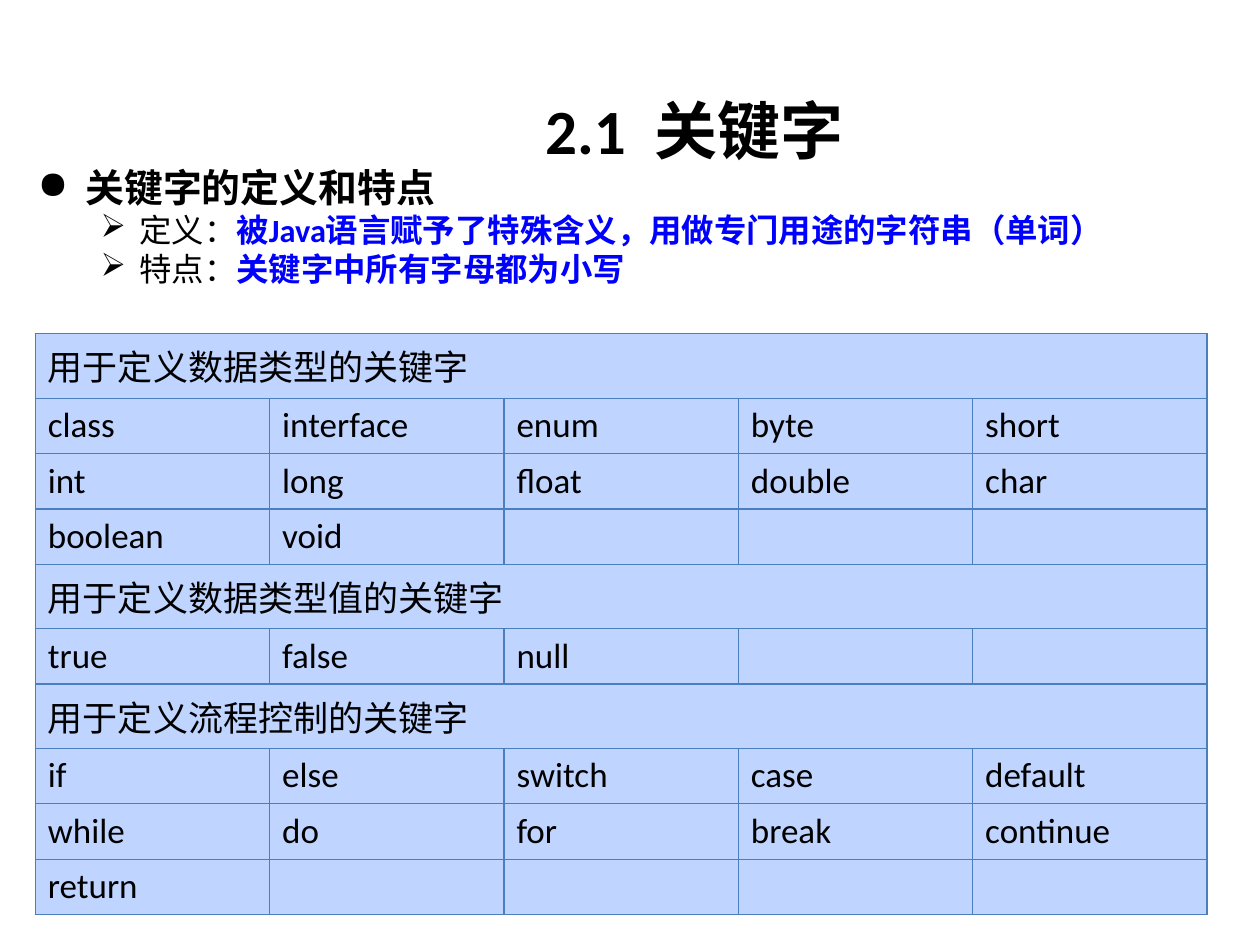
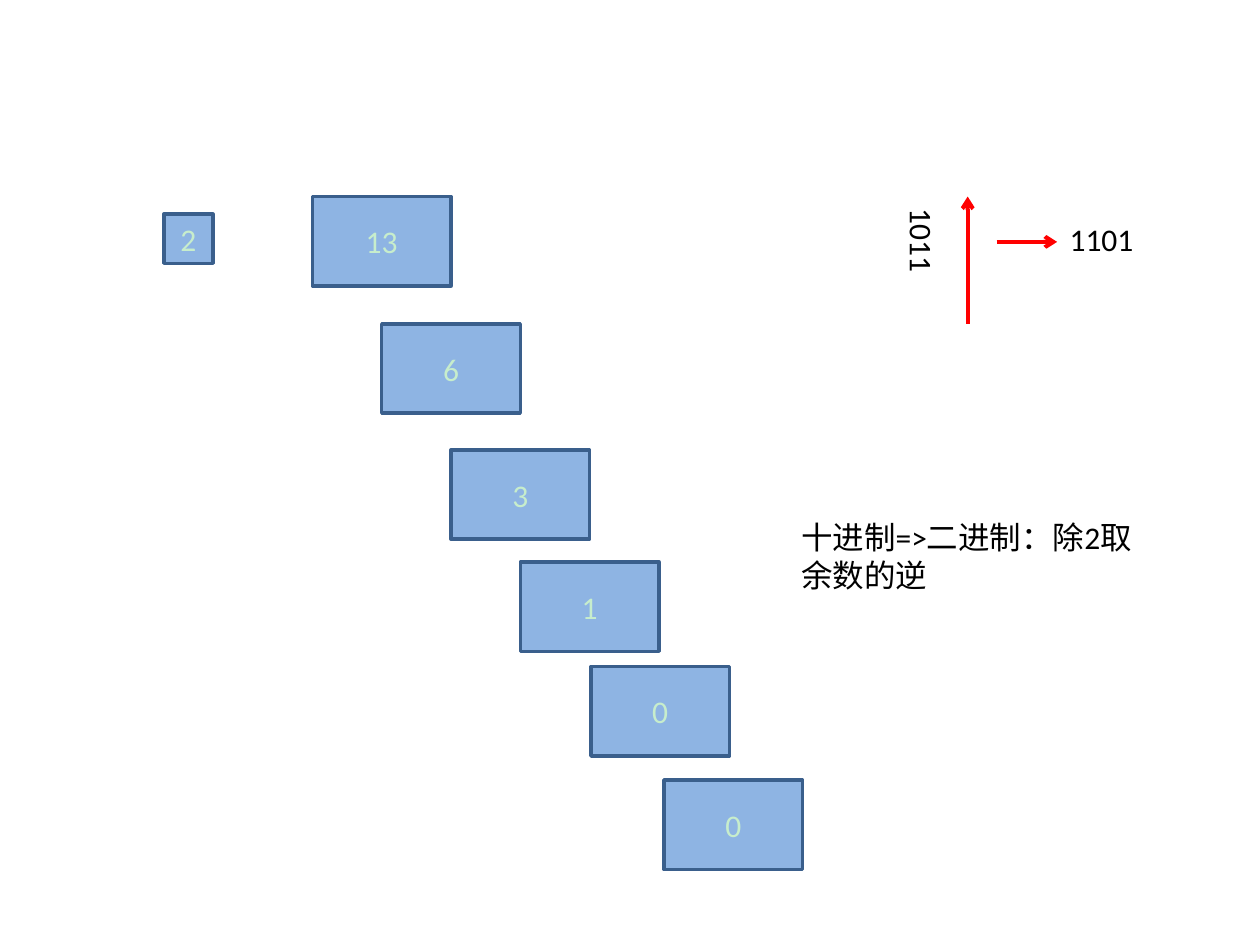
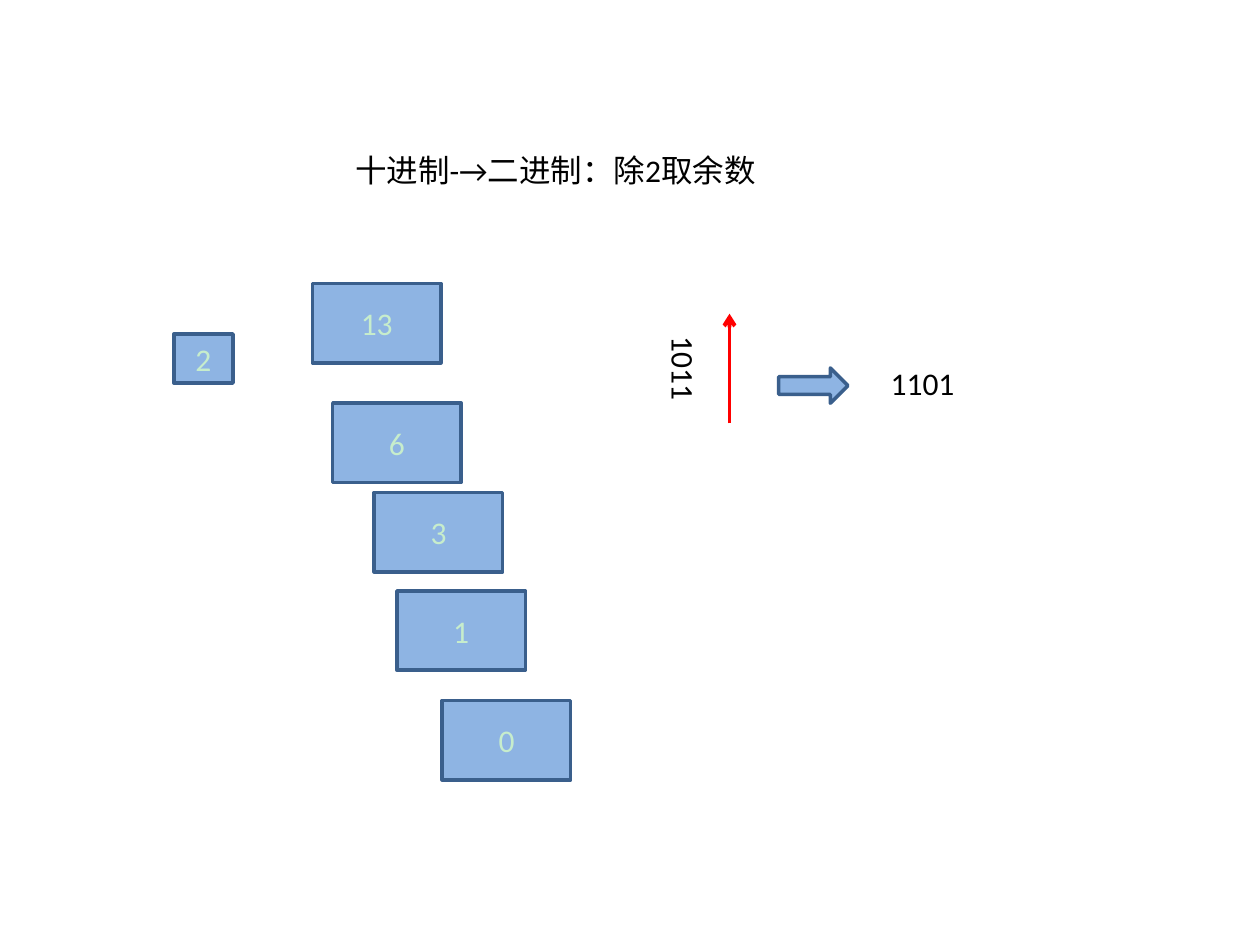
"""Build three slides on Java keywords and decimal-to-binary conversion."""
from typing import NamedTuple

from lxml import etree
from pptx import Presentation
from pptx.dml.color import RGBColor
from pptx.enum.shapes import MSO_CONNECTOR, MSO_SHAPE
from pptx.enum.text import MSO_ANCHOR, MSO_AUTO_SIZE, PP_ALIGN
from pptx.oxml.ns import qn
from pptx.util import Inches, Pt

RECTANGLE, RIGHT_ARROW = MSO_SHAPE.RECTANGLE, MSO_SHAPE.RIGHT_ARROW
STRAIGHT = MSO_CONNECTOR.STRAIGHT
CENTER, MIDDLE = PP_ALIGN.CENTER, MSO_ANCHOR.MIDDLE
GROW = MSO_AUTO_SIZE.SHAPE_TO_FIT_TEXT
TITLE_ONLY, BLANK = 5, 6

FONT = "Calibri"
BLACK, BLUE, RED = "000000", "0000FF", "FF0000"
BOX_FILL, BOX_LINE, BOX_TEXT = "8EB4E3", "3A5F8C", "C7EDCC"
CELL_FILL, CELL_LINE = "BFD4FF", "4B7EBC"

COLUMNS = 5
HEADING_HEIGHT, ROW_HEIGHT = 0.51, 0.44
KEYWORD_ROWS = [
    ["用于定义数据类型的关键字"],
    ["class", "interface", "enum", "byte", "short"],
    ["int", "long", "float", "double", "char"],
    ["boolean", "void", "", "", ""],
    ["用于定义数据类型值的关键字"],
    ["true", "false", "null", "", ""],
    ["用于定义流程控制的关键字"],
    ["if", "else", "switch", "case", "default"],
    ["while", "do", "for", "break", "continue"],
    ["return", "", "", "", ""],
]


class Area(NamedTuple):
    """Left, top, width and height in inches."""
    left: float
    top: float
    width: float
    height: float


class Span(NamedTuple):
    """A stretch of text in one format."""
    text: str
    color: str = BLACK
    bold: bool = False


class Bullet(NamedTuple):
    """A bulleted paragraph."""
    mark: str
    size: float
    margin: float
    hanging: float
    level: int
    spans: list[Span]


class Box(NamedTuple):
    """A filled shape with an optional number."""
    text: str
    area: Area
    kind: int = RECTANGLE


class Label(NamedTuple):
    """A plain text box."""
    text: str
    area: Area
    vertical: bool = False


class Arrow(NamedTuple):
    """A red arrow between two points."""
    start: tuple[float, float]
    end: tuple[float, float]


class Division(NamedTuple):
    """One division diagram."""
    boxes: list[Box]
    labels: list[Label]
    arrows: list[Arrow]


BULLETS = [
    Bullet("●", 22.2, 0.38, 0.38, 0, [Span("关键字的定义和特点", bold=True)]),
    Bullet("➢", 18.5, 0.81, 0.31, 1, [
        Span("定义："),
        Span("被Java语言赋予了特殊含义，用做专门用途的字符串（单词）", BLUE, True)]),
    Bullet("➢", 18.5, 0.81, 0.31, 1, [
        Span("特点："), Span("关键字中所有字母都为小写", BLUE, True)]),
]


def quotient_boxes(steps: list[tuple[str, float, float]], width: float, height: float) -> list[Box]:
    """Return equally large boxes for the successive quotients."""
    return [Box(text, Area(left, top, width, height)) for text, left, top in steps]


DIVISIONS = [
    Division(
        [Box("2", Area(1.3, 1.7, 0.39, 0.39))] + quotient_boxes(
            [("13", 2.48, 1.56), ("6", 3.03, 2.57), ("3", 3.58, 3.57),
             ("1", 4.13, 4.46), ("0", 4.69, 5.29), ("0", 5.27, 6.19)], 1.1, 0.71),
        [Label("1011", Area(7.02, 1.56, 0.5, 4.08), True),
         Label("1101", Area(8.39, 1.7, 1.18, 0.4)),
         Label("十进制=>二进制：除2取余数的逆", Area(6.26, 4.06, 3.07, 0.71))],
        [Arrow((7.68, 2.57), (7.68, 1.56)), Arrow((7.91, 1.92), (8.39, 1.92))]),
    Division(
        [Box("2", Area(1.38, 2.65, 0.47, 0.39)),
         Box("", Area(6.18, 2.92, 0.55, 0.28), RIGHT_ARROW)] + quotient_boxes(
            [("13", 2.48, 2.25), ("6", 2.64, 3.2), ("3", 2.97, 3.91),
             ("1", 3.15, 4.69), ("0", 3.51, 5.56)], 1.02, 0.63),
        [Label("1011", Area(5.13, 2.57, 0.5, 3.31), True),
         Label("1101", Area(6.97, 2.84, 1.42, 0.4)),
         Label("十进制-→二进制：除2取余数", Area(2.72, 1.15, 3.74, 0.4))],
        [Arrow((5.79, 3.36), (5.79, 2.49))]),
]


def rgb(color: str) -> RGBColor:
    """Turn a hex string into a colour."""
    return RGBColor.from_string(color)


def inches(area: Area) -> list[Inches]:
    """Convert an area to lengths."""
    return [Inches(value) for value in area]


def format_font(font, size: float, color: str = BLACK, bold: bool = False) -> None:
    """Apply the deck font with a size, colour and weight."""
    font.name = FONT
    font.size = Pt(size)
    font.bold = bold
    font.color.rgb = rgb(color)


def format_runs(text_frame, size: float, color: str = BLACK, bold: bool = False) -> None:
    """Format every run of a text frame."""
    for para in text_frame.paragraphs:
        for run in para.runs:
            format_font(run.font, size, color, bold)


def set_title(page, text: str, area: Area) -> None:
    """Move, fill and format the title placeholder."""
    title = page.shapes.title
    title.left, title.top, title.width, title.height = inches(area)
    frame = title.text_frame
    frame.text = text
    frame.vertical_anchor = MIDDLE
    frame.paragraphs[0].alignment = CENTER
    format_runs(frame, 36, bold=True)


def add_bullets(page, bullets: list[Bullet], area: Area) -> None:
    """Draw a bulleted list."""
    frame = page.shapes.add_textbox(*inches(area)).text_frame
    frame.word_wrap = True
    for index, bullet in enumerate(bullets):
        para = frame.add_paragraph() if index else frame.paragraphs[0]
        para.level = bullet.level
        para.line_spacing = 0.85
        if index:
            para.space_before = Pt(3.2)
        properties = para._p.get_or_add_pPr()
        properties.set("marL", str(Inches(bullet.margin)))
        properties.set("indent", str(-Inches(bullet.hanging)))
        etree.SubElement(properties, qn("a:buChar"), char=bullet.mark)
        for span in bullet.spans:
            run = para.add_run()
            run.text = span.text
            format_font(run.font, bullet.size, span.color, span.bold)


def set_borders(cell) -> None:
    """Draw a thin line on all four sides of a cell."""
    properties = cell._tc.get_or_add_tcPr()
    for side in ("a:lnL", "a:lnR", "a:lnT", "a:lnB"):
        line = etree.SubElement(properties, qn(side), w=str(Pt(0.75)))
        fill = etree.SubElement(line, qn("a:solidFill"))
        etree.SubElement(fill, qn("a:srgbClr"), val=CELL_LINE)


def add_keyword_table(page, rows: list[list[str]], left: float, top: float, width: float) -> None:
    """Draw the keyword table; a row with one entry is a merged heading."""
    heights = [HEADING_HEIGHT if len(row) == 1 else ROW_HEIGHT for row in rows]
    area = Area(left, top, width, sum(heights))
    table = page.shapes.add_table(len(rows), COLUMNS, *inches(area)).table
    table.first_row = table.horz_banding = False
    for row_index, (row, height) in enumerate(zip(rows, heights)):
        table.rows[row_index].height = Inches(height)
        for column in range(COLUMNS):
            cell = table.cell(row_index, column)
            set_borders(cell)
            cell.fill.solid()
            cell.fill.fore_color.rgb = rgb(CELL_FILL)
        if len(row) == 1:
            table.cell(row_index, 0).merge(table.cell(row_index, COLUMNS - 1))
        for column, text in enumerate(row):
            cell = table.cell(row_index, column)
            cell.text_frame.text = text
            format_runs(cell.text_frame, 20)


def add_box(page, box: Box) -> None:
    """Draw a blue shape with a centred number."""
    shape = page.shapes.add_shape(box.kind, *inches(box.area))
    shape.shadow.inherit = False
    shape.fill.solid()
    shape.fill.fore_color.rgb = rgb(BOX_FILL)
    shape.line.color.rgb = rgb(BOX_LINE)
    shape.line.width = Pt(2)
    frame = shape.text_frame
    frame.text = box.text
    frame.vertical_anchor = MIDDLE
    frame.paragraphs[0].alignment = CENTER
    format_runs(frame, 18, BOX_TEXT)


def add_label(page, label: Label) -> None:
    """Draw a text box, with vertical text if asked."""
    frame = page.shapes.add_textbox(*inches(label.area)).text_frame
    frame.word_wrap = True
    frame.auto_size = GROW
    if label.vertical:
        frame._txBody.bodyPr.set("vert", "eaVert")
    frame.text = label.text
    format_runs(frame, 18)


def add_arrow(page, arrow: Arrow) -> None:
    """Draw a red line with an open arrowhead at its end."""
    points = [Inches(value) for value in arrow.start + arrow.end]
    connector = page.shapes.add_connector(STRAIGHT, *points)
    connector.line.color.rgb = rgb(RED)
    connector.line.width = Pt(2.25)
    etree.SubElement(connector.line._get_or_add_ln(), qn("a:tailEnd"), type="arrow")
    etree.SubElement(connector._element.spPr, qn("a:effectLst"))


def add_keyword_page(deck) -> None:
    """Add the slide on Java keywords."""
    page = deck.slides.add_slide(deck.slide_layouts[TITLE_ONLY])
    set_title(page, "2.1  关键字", Area(3.74, 0.52, 3.54, 1.02))
    add_bullets(page, BULLETS, Area(0.2, 1.31, 9.3, 1.48))
    add_keyword_table(page, KEYWORD_ROWS, 0.28, 2.65, 9.3)


def add_division_page(deck, division: Division) -> None:
    """Add a slide that divides a number by two repeatedly."""
    page = deck.slides.add_slide(deck.slide_layouts[BLANK])
    for box in division.boxes:
        add_box(page, box)
    for label in division.labels:
        add_label(page, label)
    for arrow in division.arrows:
        add_arrow(page, arrow)


def main() -> None:
    """Build and save the deck."""
    deck = Presentation()
    deck.slide_width, deck.slide_height = Inches(10), Inches(7.5)
    add_keyword_page(deck)
    for division in DIVISIONS:
        add_division_page(deck, division)
    deck.save("out.pptx")


if __name__ == "__main__":
    main()
